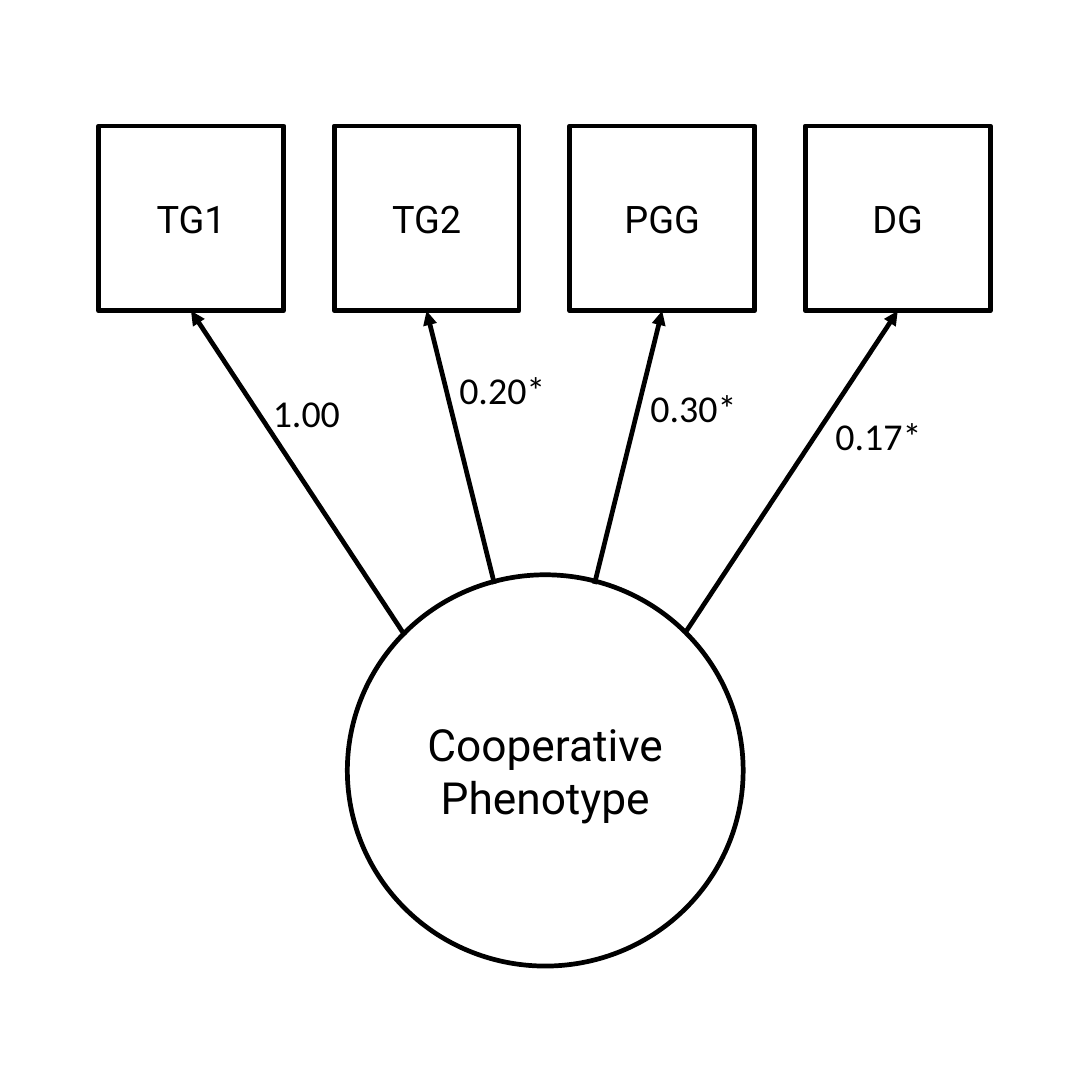
import pptx
import pptx.util
import pptx.dml.color
import pptx.enum.shapes
import pptx.enum.text
import pptx.oxml
import pptx.oxml.ns

Inches = pptx.util.Inches
Pt = pptx.util.Pt
BLACK = pptx.dml.color.RGBColor(0, 0, 0)
WHITE = pptx.dml.color.RGBColor(255, 255, 255)
KIND = pptx.enum.shapes.MSO_SHAPE
ALIGN = pptx.enum.text.PP_ALIGN
ANCHOR = pptx.enum.text.MSO_ANCHOR
FIT = pptx.enum.text.MSO_AUTO_SIZE

# Content: game, loading, label (left, top, width), arrow start on the circle
FACTOR = "Cooperative Phenotype"
GAMES = [
    ("TG1", "1.00", (1.7, 2.52, 0.65), (2.67, 4.19)),
    ("TG2", "0.20*", (2.93, 2.37, 0.78), (3.26, 3.85)),
    ("PGG", "0.30*", (4.19, 2.49, 0.78), (3.92, 3.85)),
    ("DG", "0.17*", (5.41, 2.67, 0.78), (4.52, 4.17)),
]

# Layout and formats
LEFT, TOP, SIDE, STEP = 0.65, 0.83, 1.22, 1.553
CIRCLE = (2.29, 3.79, 2.61, 2.58)
TALL = 0.4
BIG = {"name": "Roboto", "size": Pt(21)}
MID = {"name": "Roboto", "size": Pt(18)}
NOTE = {"name": "Calibri", "size": Pt(18)}
NODE = {"word_wrap": True, "vertical_anchor": ANCHOR.MIDDLE}
FREE = {"word_wrap": False, "auto_size": FIT.SHAPE_TO_FIT_TEXT}


def apply(item, form):
    for key, value in form.items():
        setattr(item, key, value)


def write(shape, text, font, frame, align):
    apply(shape.text_frame, frame)
    para = shape.text_frame.paragraphs[0]
    para.alignment = align
    run = para.add_run()
    run.text = text
    apply(run.font, font)
    run.font.color.rgb = BLACK


def ink(line):
    line.color.rgb = BLACK
    line.width = Pt(2.25)


def node(kind, place, text, font):
    shape = slide.shapes.add_shape(kind, *map(Inches, place))
    shape.shadow.inherit = False
    shape.fill.solid()
    shape.fill.fore_color.rgb = WHITE
    ink(shape.line)
    write(shape, text, font, NODE, ALIGN.CENTER)
    return shape


def arrow(start, box):
    line = slide.shapes.add_connector(
        pptx.enum.shapes.MSO_CONNECTOR.STRAIGHT,
        *map(Inches, start), box.left, box.top)
    line.end_connect(box, 2)
    ink(line.line)
    tail = pptx.oxml.ns.qn("a:tailEnd")
    line.line._get_or_add_ln().makeelement(tail)
    props = line._element.spPr
    stroke = props.find(pptx.oxml.ns.qn("a:ln"))
    stroke.append(stroke.makeelement(tail, {"type": "triangle"}))
    props.append(props.makeelement(pptx.oxml.ns.qn("a:effectLst"), {}))


deck = pptx.Presentation()
deck.slide_width = deck.slide_height = Inches(7.2)
slide = deck.slides.add_slide(deck.slide_layouts[6])

# Latent factor and observed games
node(KIND.OVAL, CIRCLE, FACTOR, BIG)
boxes = [
    node(KIND.RECTANGLE, (LEFT + i * STEP, TOP, SIDE, SIDE), game[0], MID)
    for i, game in enumerate(GAMES)
]

# Arrows and loadings
for box, (name, load, (x, y, wide), start) in zip(boxes, GAMES):
    arrow(start, box)
    label = slide.shapes.add_textbox(*map(Inches, (x, y, wide, TALL)))
    write(label, load, NOTE, FREE, ALIGN.LEFT)

deck.save("out.pptx")
